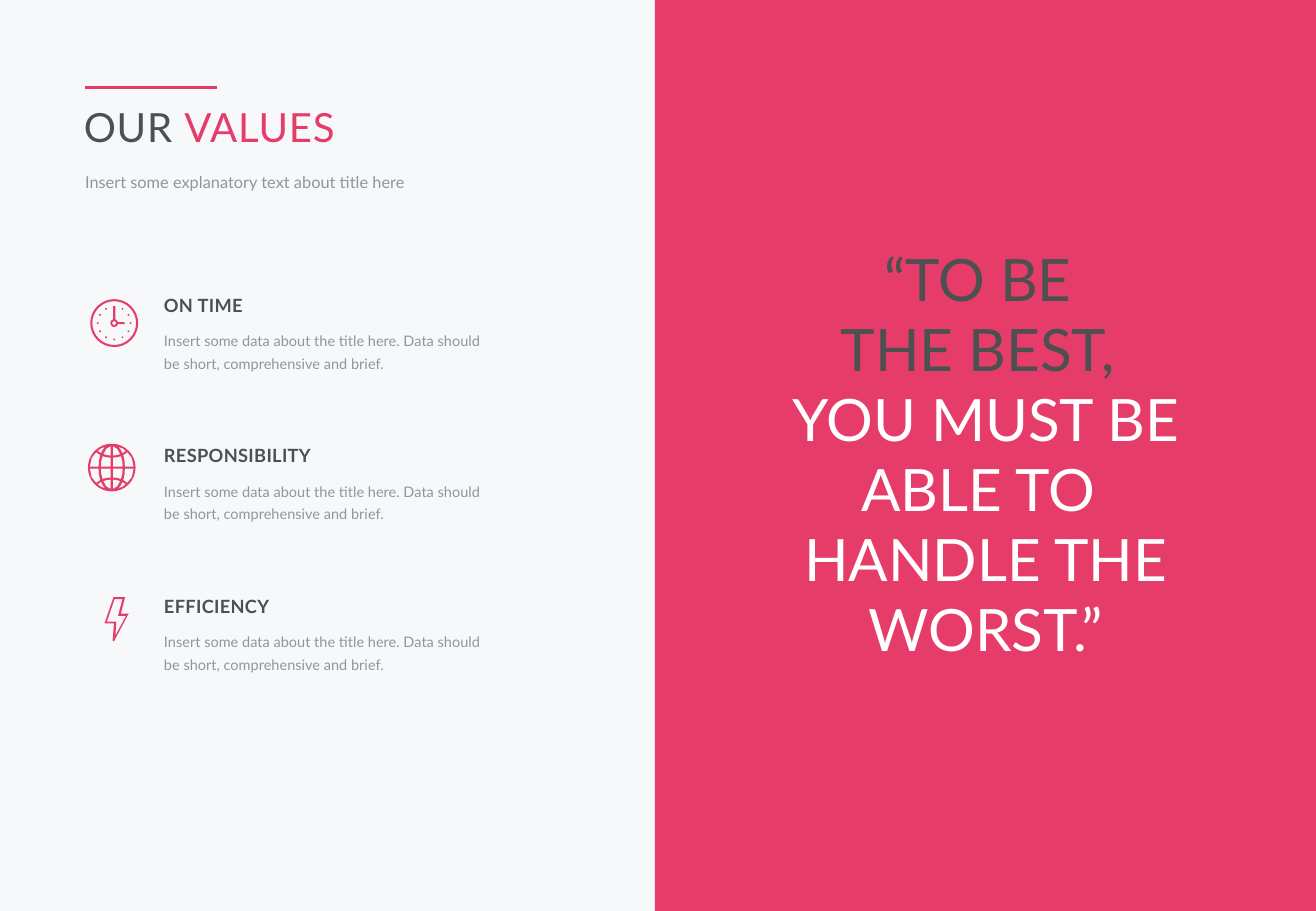
"""Build the "Our values" slide with three values and a quote panel."""
import math

import pptx
import pptx.dml.color
import pptx.enum.shapes
import pptx.enum.text
import pptx.oxml
import pptx.oxml.ns
import pptx.util

Inches = pptx.util.Inches
Pt = pptx.util.Pt
ALIGN = pptx.enum.text.PP_ALIGN
COLORS = {
    name: pptx.dml.color.RGBColor.from_string(value)
    for name, value in {
        "paper": "F6F8FA", "pink": "E63C69", "dark": "4B5050",
        "gray": "91969B", "white": "FFFFFF",
    }.items()
}


def write(box, paragraphs, *, place, size, align=ALIGN.LEFT, bold=False,
          tracking=0, leading=None):
    """Place a box and fill it with paragraphs of (text, color) spans."""
    box.left, box.top, box.width, box.height = map(Inches, place)
    frame = box.text_frame
    frame.word_wrap = True
    frame.auto_size = pptx.enum.text.MSO_AUTO_SIZE.SHAPE_TO_FIT_TEXT
    frame.vertical_anchor = pptx.enum.text.MSO_ANCHOR.TOP
    frame.margin_left = frame.margin_right = frame.margin_top = frame.margin_bottom = 0
    for index, spans in enumerate(paragraphs):
        para = frame.add_paragraph() if index else frame.paragraphs[0]
        para.alignment = align
        if leading:
            para.line_spacing = leading
        for text, color in spans:
            span = para.add_run()
            span.text = text
            span.font.name = "Lato"
            span.font.size = Pt(size)
            span.font.bold = bold
            span.font.color.rgb = COLORS[color]
            if tracking:
                span.font._element.set("spc", str(round(tracking * 100)))


def ring(radius, count, x=0, y=0):
    """Return the corners of a regular polygon around a point."""
    turns = [2 * math.pi * step / count for step in range(count)]
    return [(x + radius * math.sin(turn), y + radius * math.cos(turn)) for turn in turns]


deck = pptx.Presentation()
deck.slide_width, deck.slide_height = Inches(10.83), Inches(7.5)
page = deck.slides.add_slide(deck.slide_layouts[5])
page.background.fill.solid()
page.background.fill.fore_color.rgb = COLORS["paper"]
shapes = page.shapes

panel = shapes.add_shape(pptx.enum.shapes.MSO_SHAPE.RECTANGLE,
                         Inches(5.39), 0, Inches(5.45), Inches(7.5))
panel.shadow.inherit = False
panel.fill.solid()
panel.fill.fore_color.rgb = COLORS["pink"]
panel.line.fill.background()

write(shapes.title, [[("OUR ", "dark"), ("VALUES", "pink")]],
      place=(0.69, 0.84, 3.89, 0.4), size=23.8, tracking=0.5)
write(shapes.add_textbox(0, 0, 0, 0),
      [[("Insert some explanatory text about title here", "gray")]],
      place=(0.7, 1.41, 3.89, 0.17), size=9.7, leading=Pt(12))
write(shapes.add_textbox(0, 0, 0, 0),
      [[("“TO BE ", "dark")], [("THE BEST, ", "dark")],
       [("YOU MUST BE ABLE TO ", "white")], [("HANDLE THE WORST.”", "white")]],
      place=(6.05, 2, 4.12, 3.5), size=34.6, align=ALIGN.CENTER)

detail = ("Insert some data about the title here. "
          "Data should be short, comprehensive and brief.")
for row, value in enumerate(["ON TIME", "RESPONSIBILITY", "EFFICIENCY"]):
    top = 2.42 + 1.24 * row
    write(shapes.add_textbox(0, 0, 0, 0), [[(detail, "gray")]],
          place=(1.35, top + 0.27, 2.66, 0.38), size=8.6, leading=1.3)
    write(shapes.add_textbox(0, 0, 0, 0), [[(value, "dark")]],
          place=(1.35, top, 2.66, 0.18), size=10.8, bold=True, tracking=0.2)

accent = shapes.add_connector(pptx.enum.shapes.MSO_CONNECTOR.STRAIGHT,
                              Inches(0.7), Inches(0.72), Inches(1.79), Inches(0.72))
accent.line.color.rgb = COLORS["pink"]
accent.line.width = Pt(2.25)
accent._element.spPr.append(pptx.oxml.parse_xml(
    f'<a:effectLst {pptx.oxml.ns.nsdecls("a")}/>'))

clock = [
    ring(19.7, 32), ring(18, 32), ring(3.2, 12), ring(1.6, 12),
    [(-0.9, -14), (0.9, -14), (0.9, -3.1), (-0.9, -3.1)],
    [(3.1, -0.8), (8.5, -0.8), (8.5, 0.8), (3.1, 0.8)],
]
clock += [ring(0.8, 6, x, y) for x, y in ring(13.5, 12) if y > -13]

globe_cells = [
    [(18, 0.8), (10.8, 0.8), (10.5, 5.5), (9.5, 10.3), (12.8, 12.6), (16.5, 8)],
    [(0.9, 0.8), (9, 0.8), (8.7, 5), (7.6, 9.4), (4, 8.5), (0.9, 8.2)],
    [(0.9, 9.9), (4, 10.2), (7, 11.1), (4.5, 15.5), (0.9, 17.6)],
    [(11.6, 13.7), (8.7, 11.8), (7.5, 14.5), (5.5, 17), (9, 15.8)],
]
globe = [ring(19.6, 32)] + [
    [(x * across, y * down) for x, y in cell]
    for cell in globe_cells for across in (-1, 1) for down in (-1, 1)
]

bolt = [
    [(-2.5, -18.5), (7, -18.5), (3.5, -4.7), (9.8, -4.7), (-2.2, 18), (-3.3, 17.5),
     (-2.2, 3.3), (-10, 3.3)],
    [(-1.7, -16.7), (4.8, -16.7), (1.2, -3), (7.7, -3), (-1, 13.3), (-0.3, 1.7),
     (-8, 1.7)],
]

for center_x, center_y, contours in [
    (0.92, 3.85, globe), (0.94, 2.66, clock), (0.96, 5.1, bolt),
]:
    builder = None
    for contour in contours:
        start, *rest = [(Inches(center_x + x / 100), Inches(center_y + y / 100))
                        for x, y in contour]
        if builder:
            builder.move_to(*start)
        else:
            builder = shapes.build_freeform(*start)
        builder.add_line_segments(rest)
    icon = builder.convert_to_shape()
    icon.shadow.inherit = False
    icon.fill.solid()
    icon.fill.fore_color.rgb = COLORS["pink"]
    icon.line.fill.background()

deck.save("out.pptx")
